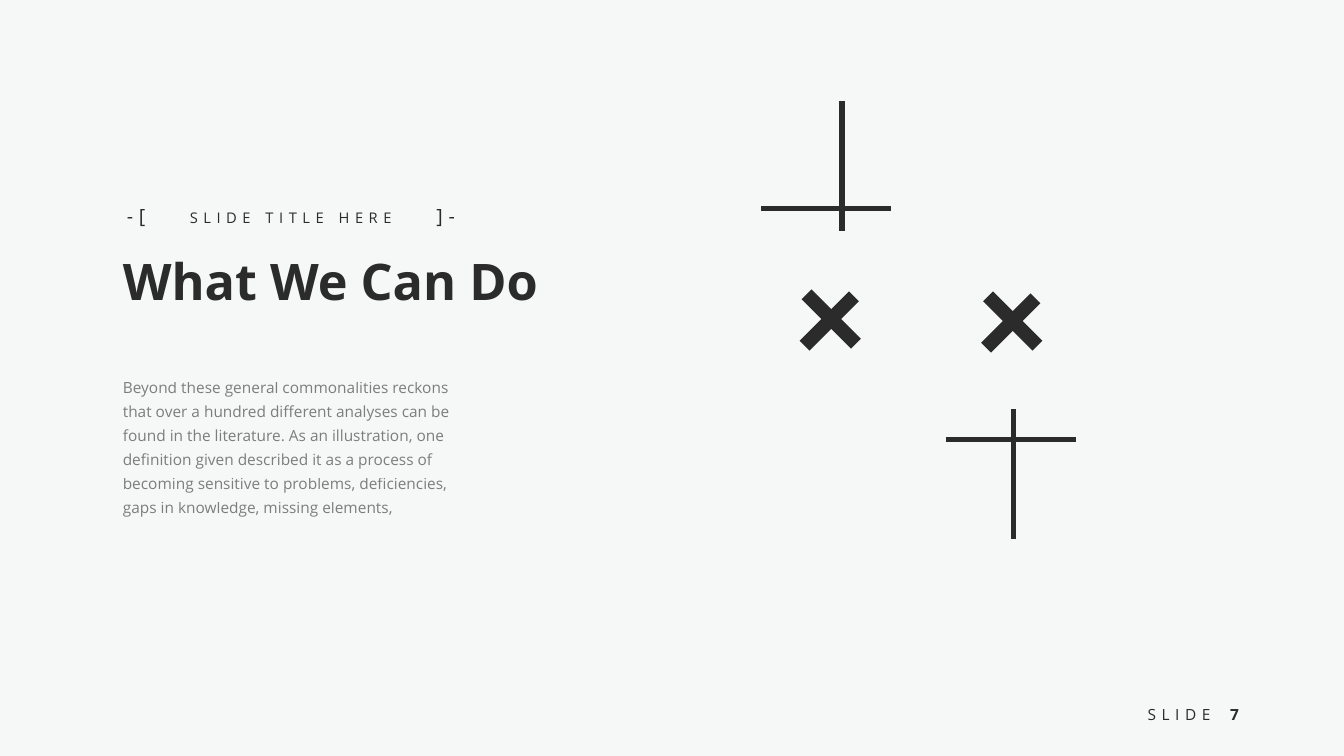
from lxml import etree
from pptx import Presentation
from pptx import util as u
from pptx.dml.color import RGBColor
from pptx.enum import shapes, text
from pptx.oxml.ns import qn


def rgb(value):
    return RGBColor.from_string(value)


def write(tf, content, font, color, size, bold=False, tracking=0, opacity=100,
          align=text.PP_ALIGN.LEFT, line_spacing=None):
    p = tf.paragraphs[0]
    p.alignment = align
    p.line_spacing = line_spacing
    r = p.add_run()
    r.text = content
    r.font.name = font
    r.font.size = u.Pt(size)
    r.font.bold = bold
    r.font.color.rgb = rgb(color)
    if tracking:
        r.font._element.set("spc", str(tracking * 100))
    if opacity < 100:
        clr = r.font._element.find(".//" + qn("a:srgbClr"))
        etree.SubElement(clr, qn("a:alpha")).set("val", str(opacity * 1000))


class Page:
    font = "Open Sans"
    ink = "2B2B2B"
    paper = "F6F8F8"

    def __init__(self, prs):
        self.s = prs.slides.add_slide(prs.slide_layouts[6])
        fill = self.s.background.fill
        fill.solid()
        fill.fore_color.rgb = rgb(self.paper)

    def label(self, content, x, y, w, h, size, wrap=True,
              anchor=text.MSO_ANCHOR.TOP, **fmt):
        sp = self.s.shapes.add_textbox(*map(u.Inches, (x, y, w, h)))
        tf = sp.text_frame
        tf.word_wrap = wrap
        tf.vertical_anchor = anchor
        write(tf, content, self.font, self.ink, size, **fmt)

    def spaced(self, content, x, y, w, h, size):
        self.label(content, x, y, w, h, size, wrap=False, tracking=4,
                   align=text.PP_ALIGN.CENTER)

    def line(self, x1, y1, x2, y2, width):
        sp = self.s.shapes.add_connector(
            shapes.MSO_CONNECTOR.STRAIGHT, *map(u.Inches, (x1, y1, x2, y2)))
        sp.line.color.rgb = rgb(self.ink)
        sp.line.width = u.Pt(width)
        etree.SubElement(sp._element.spPr, qn("a:effectLst"))

    def bars(self, left, bar_y, stem_x, top, length=1.29):
        self.line(left, bar_y, left + length, bar_y, 4)
        self.line(stem_x, top, stem_x, top + length, 4)

    def saltire(self, x, y, arm=0.49):
        self.line(x + arm, y, x, y + arm, 10)
        self.line(x + 0.02 + arm, y - 0.02 + arm, x + 0.02, y - 0.02, 10)


prs = Presentation()
prs.slide_width = u.Inches(13.33)
prs.slide_height = u.Inches(7.5)
page = Page(prs)

page.label("7", 12.01, 6.86, 0.47, 0.45, 11, bold=True,
           anchor=text.MSO_ANCHOR.MIDDLE, align=text.PP_ALIGN.CENTER)
page.spaced("SLIDE", 11.26, 6.95, 0.87, 0.29, 11)

page.bars(7.55, 2.07, 8.35, 1)
page.bars(9.38, 4.36, 10.05, 4.06)
page.saltire(7.98, 2.94)
page.saltire(9.78, 2.96)

page.spaced("SLIDE TITLE HERE", 1.74, 2.02, 2.29, 0.29, 10.5)
for bracket, x in (("-[", 1.12), ("]-", 4.19)):
    page.spaced(bracket, x, 1.97, 0.46, 0.34, 14)

page.label("What We Can Do", 1.12, 2.43, 5.52, 0.71, 36, bold=True)
page.label(
    "Beyond these general commonalities reckons that over a hundred different "
    "analyses can be found in the literature. As an illustration, one "
    "definition given described it as a process of becoming sensitive to "
    "problems, deficiencies, gaps in knowledge, missing elements,",
    1.12, 3.65, 3.7, 1.54, 11, opacity=60, line_spacing=1.3)

prs.save("out.pptx")
